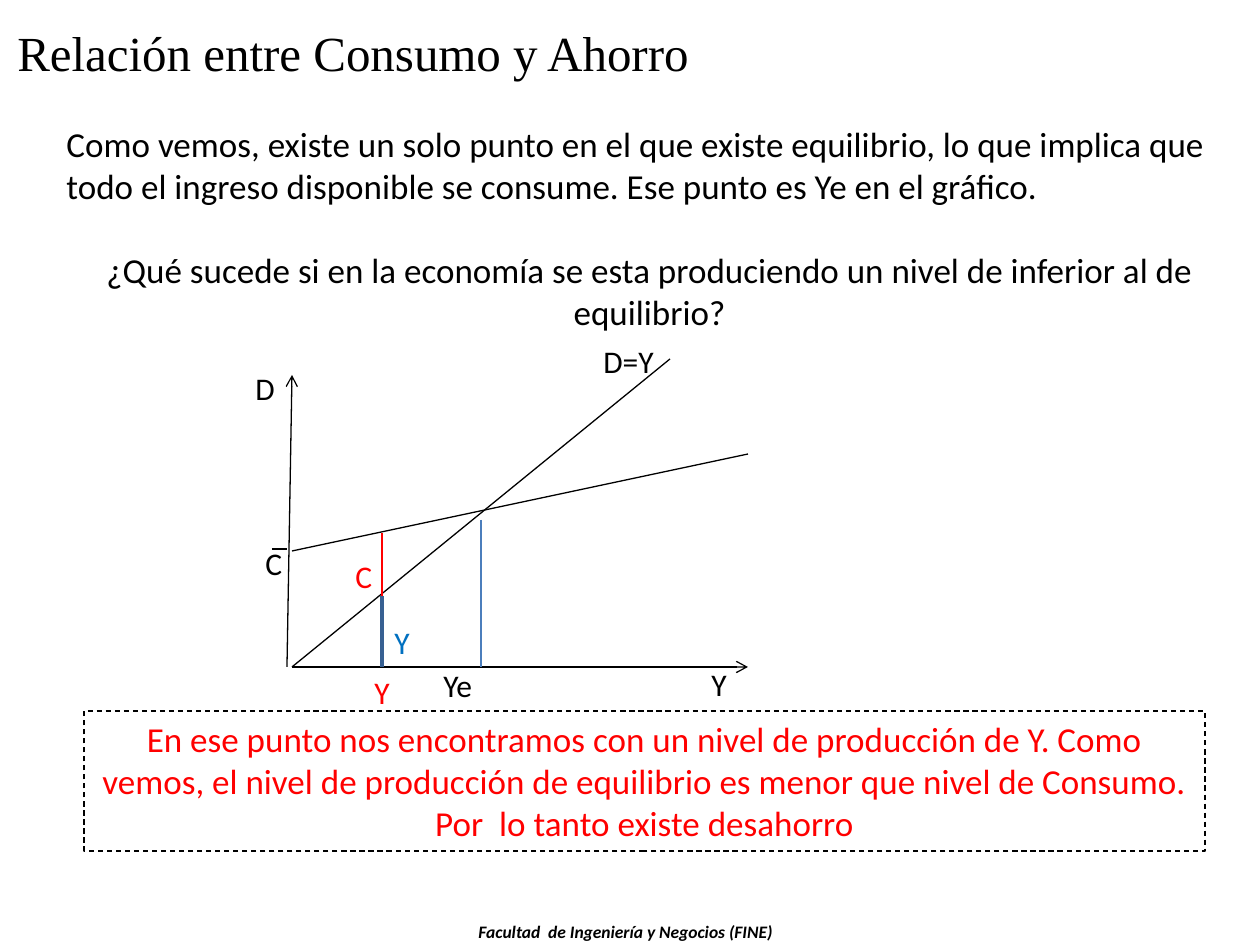
from dataclasses import dataclass

from pptx import Presentation
from pptx.dml.color import RGBColor
from pptx.enum.dml import MSO_LINE_DASH_STYLE as Dash
from pptx.enum.shapes import MSO_CONNECTOR as Conn, MSO_SHAPE as Shape
from pptx.enum.text import MSO_ANCHOR as Anchor, PP_ALIGN as Align
from pptx.oxml.ns import qn
from pptx.util import Emu, Pt
from lxml.etree import SubElement


@dataclass(frozen=True)
class Theme:
    black: str = "000000"
    red: str = "FF0000"
    blue: str = "0070C0"
    guide: str = "4B7EBC"
    income: str = "376092"
    body_font: str = "Calibri"
    title_font: str = "Times New Roman"
    title: int = 28
    body: int = 20
    label: int = 18
    footer: int = 10


T = Theme()
PX = 914400 / 126
ORIGIN_X, AXIS_Y, AXIS_END = 292, 667, 748
LOW_X, EQUILIBRIUM_X = 382, 481


def px(*values):
    return [Emu(round(v * PX)) for v in values]


def write(tf, paragraphs, size, color=T.black, font=T.body_font, align=Align.LEFT,
          anchor=Anchor.TOP, gap=0, **style):
    tf.word_wrap = True
    tf.vertical_anchor = anchor
    for i, text in enumerate(paragraphs):
        p = tf.paragraphs[0] if i == 0 else tf.add_paragraph()
        p.alignment = align
        if i:
            p.space_before = Pt(gap)
        r = p.add_run()
        r.text = text
        r.font.color.rgb = RGBColor.from_string(color)
        for name, value in dict(name=font, size=Pt(size), **style).items():
            setattr(r.font, name, value)


def add_text(s, box, *paragraphs, **fmt):
    tf = s.shapes.add_textbox(*px(*box)).text_frame
    write(tf, paragraphs, **fmt)
    return tf


def add_line(s, start, end, color=T.black, width=0.75, arrow=False):
    c = s.shapes.add_connector(Conn.STRAIGHT, *px(*start, *end))
    c.line.color.rgb = RGBColor.from_string(color)
    c.line.width = Pt(width)
    if arrow:
        SubElement(c.line._get_or_add_ln(), qn("a:tailEnd"), type="arrow")
    SubElement(c._element.spPr, qn("a:effectLst"))


def add_label(s, text, x, y, color=T.black, width=79):
    add_text(s, (x, y, width, 45), text, size=T.label, color=color)


def add_conclusion(s, box, text):
    sp = s.shapes.add_shape(Shape.RECTANGLE, *px(*box))
    sp.shadow.inherit = False
    sp.fill.background()
    sp.line.color.rgb = RGBColor.from_string(T.black)
    sp.line.width = Pt(0.75)
    sp.line.dash_style = Dash.DASH
    write(sp.text_frame, [text], size=T.body, color=T.red, align=Align.CENTER)


def add_graph(s):
    origin = (ORIGIN_X, AXIS_Y)
    add_line(s, (287, AXIS_Y), (ORIGIN_X, 375), arrow=True)
    add_line(s, origin, (AXIS_END, AXIS_Y), arrow=True)
    add_line(s, origin, (670, 359))
    add_line(s, (ORIGIN_X, 551), (AXIS_END, 454))
    add_line(s, (272, 549), (287, 549), width=1.5)
    for x, top, color, width in [(EQUILIBRIUM_X, 520, T.guide, 0.75),
                                 (LOW_X, 533, T.red, 0.75),
                                 (LOW_X, 596, T.income, 2)]:
        add_line(s, (x, top), (x, AXIS_Y), color, width)

    for text, x, y, color in [("D", 243, 363, T.black), ("C", 253, 538, T.black),
                              ("Y", 699, 659, T.black), ("Ye", 431, 660, T.black),
                              ("Y", 362, 667, T.red), ("C", 343, 551, T.red),
                              ("Y", LOW_X, 617, T.blue)]:
        add_label(s, text, x, y, color)
    add_label(s, "D=Y", 591, 336, width=129)


def main():
    prs = Presentation()
    prs.slide_width, prs.slide_height = px(1260, 945)
    s = prs.slides.add_slide(prs.slide_layouts[6])

    add_conclusion(s, (84, 711, 1121, 140),
                   "En ese punto nos encontramos con un nivel de producción de Y. Como vemos, "
                   "el nivel de producción de equilibrio es menor que nivel de Consumo. "
                   "Por  lo tanto existe desahorro")
    add_graph(s)
    add_text(s, (5, 6, 1071, 82), "Relación entre Consumo y Ahorro",
             size=T.title, font=T.title_font, anchor=Anchor.BOTTOM)
    tf = add_text(s, (54, 116, 1191, 224),
                  "Como vemos, existe un solo punto en el que existe equilibrio, lo que implica "
                  "que todo el ingreso disponible se consume. Ese punto es Ye en el gráfico.",
                  "¿Qué sucede si en la economía se esta produciendo un nivel de inferior al de "
                  "equilibrio?",
                  size=T.body, gap=24)
    tf.paragraphs[1].alignment = Align.CENTER
    add_text(s, (318, 915, 615, 34), "Facultad  de Ingeniería y Negocios (FINE)",
             size=T.footer, align=Align.CENTER, bold=True, italic=True)
    prs.save("out.pptx")


if __name__ == "__main__":
    main()
